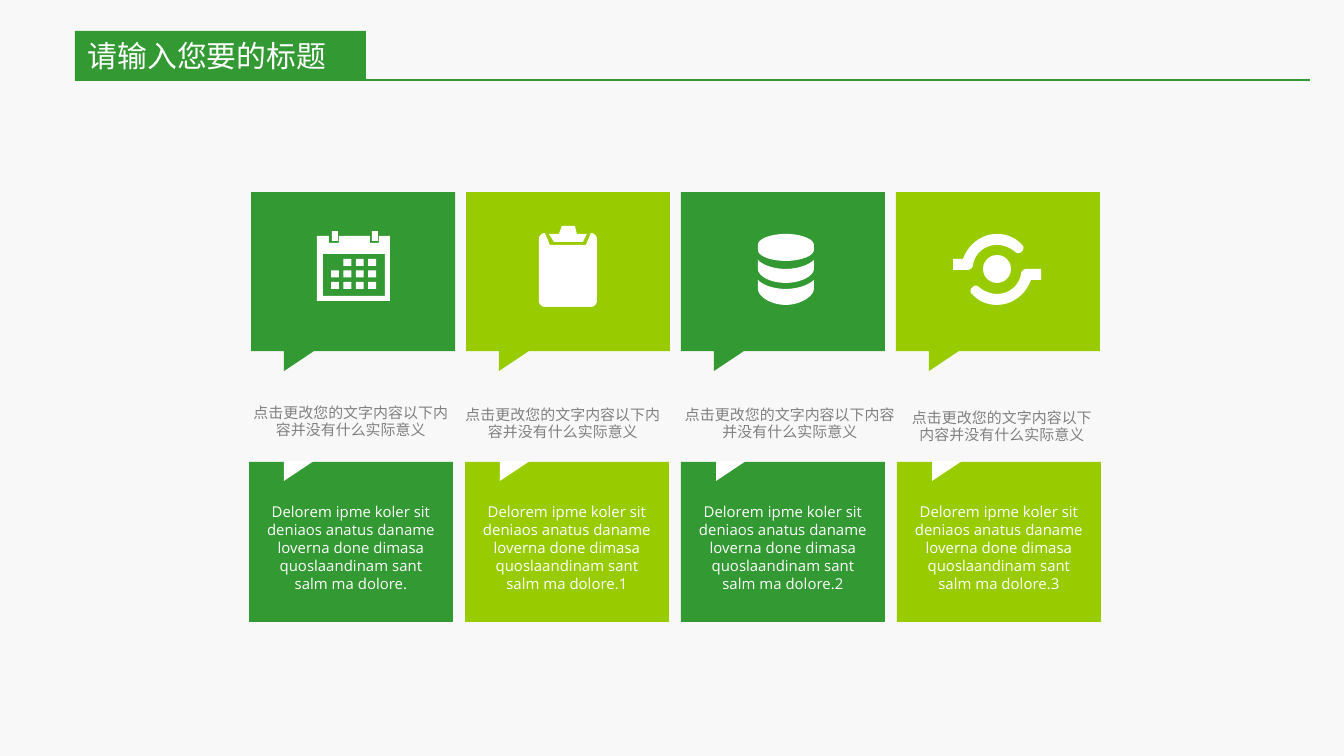
from lxml.etree import SubElement
from pptx import Presentation
from pptx.dml.color import RGBColor as RGB
from pptx.enum.shapes import MSO_CONNECTOR as LINE, MSO_SHAPE as SHAPE
from pptx.enum.text import MSO_ANCHOR as ANCHOR, PP_ALIGN as ALIGN
from pptx.oxml.ns import qn
from pptx.util import Pt

PX = 914400 / 134.4
INK = {"page": "F8F8F8", "green": "339933", "lime": "99CC00",
       "white": "FFFFFF", "gray": "808080"}
CJK, LATIN = "Noto Sans CJK SC", "Open Sans"


def emu(*vals):
    return [round(v * PX) for v in vals]


def flat(curve, steps=10):
    """Turn a list of points and cubic curves (six numbers) into points."""
    pts = []
    for item in curve:
        if len(item) == 2:
            pts.append(item)
            continue
        x, y = pts[-1]
        a, b, c, d, e, f = item
        for n in range(1, steps + 1):
            t = n / steps
            u = 1 - t
            k = (u ** 3, 3 * u * u * t, 3 * u * t * t, t ** 3)
            pts.append((k[0] * x + k[1] * a + k[2] * c + k[3] * e,
                        k[0] * y + k[1] * b + k[2] * d + k[3] * f))
    return pts


class Pen:
    def __init__(self, slide):
        self.slide = slide
        self.shapes = slide.shapes
        fill = slide.background.fill
        fill.solid()
        fill.fore_color.rgb = RGB.from_string(INK["page"])

    def paint(self, shape, ink):
        shape.shadow.inherit = False
        shape.fill.solid()
        shape.fill.fore_color.rgb = RGB.from_string(INK[ink])
        shape.line.fill.background()
        return shape

    def shape(self, box, ink, kind=SHAPE.RECTANGLE):
        return self.paint(self.shapes.add_shape(kind, *emu(*box)), ink)

    def free(self, ink, *curves):
        form = None
        for curve in curves:
            first, *rest = [emu(*p) for p in flat(curve)]
            if form is None:
                form = self.shapes.build_freeform(*first, scale=1.0)
            else:
                form.move_to(*first)
            form.add_line_segments(rest, close=True)
        return self.paint(form.convert_to_shape(), ink)

    def label(self, frame, lines, size, font, ink, align=ALIGN.CENTER,
              anchor=ANCHOR.TOP, pad=(13, 7, 13, 7)):
        frame.word_wrap = True
        frame.vertical_anchor = anchor
        (frame.margin_left, frame.margin_top,
         frame.margin_right, frame.margin_bottom) = emu(*pad)
        for n, line in enumerate(lines):
            para = frame.add_paragraph() if n else frame.paragraphs[0]
            para.alignment = align
            run = para.add_run()
            run.text = line
            run.font.size = Pt(size)
            run.font.name = font
            run.font.color.rgb = RGB.from_string(INK[ink])
            SubElement(run.font._element, qn("a:ea"), typeface=font)

    def text(self, box, lines, *style, **more):
        frame = self.shapes.add_textbox(*emu(*box)).text_frame
        self.label(frame, lines, *style, **more)

    def line(self, ends, ink, width):
        line = self.shapes.add_connector(LINE.STRAIGHT, *emu(*ends))
        line.line.color.rgb = RGB.from_string(INK[ink])
        line.line.width = Pt(width)
        SubElement(line._element.spPr, qn("a:effectLst"))


def dates(pen):
    for row in range(3):
        for col in range(4):
            if (row, col) != (0, 0):
                pen.shape((331 + 12.4 * col, 259 + 11.5 * row, 8, 7), "white")
    pen.free("white",
             [(317, 236), (329, 236), (329, 243), (339, 243), (339, 236),
              (370, 236), (370, 243), (379, 243), (379, 236), (390, 236),
              (390, 301), (317, 301)],
             [(323, 254), (385, 254), (385, 296), (323, 296)])
    for x in (332, 372):
        pen.shape((x, 231, 6, 10), "white")


def board(pen):
    pen.free("white", [
        (591, 233), (586, 245), (550, 245), (545, 233),
        (542, 233, 539, 236, 539, 239), (539, 301),
        (539, 304, 542, 307, 545, 307), (591, 307),
        (594, 307, 597, 304, 597, 301), (597, 239),
        (597, 236, 594, 233, 591, 233)])
    pen.free("white", [(583, 242), (587, 234), (577, 234), (575, 226),
                       (562, 226), (559, 234), (549, 234), (554, 242)])


def disks(pen):
    top = [(786, 234), (770, 234, 758, 239, 758, 245), (758, 250),
           (758, 256, 770, 261, 786, 261), (801, 261, 814, 256, 814, 250),
           (814, 245), (814, 239, 801, 234, 786, 234)]

    def band(y, low):
        return [(814, y), (809, y + 5, 798, y + 9, 786, y + 9),
                (773, y + 9, 763, y + 5, 758, y), (758, y + 9),
                (758, y + 16, 770, low, 786, low),
                (801, low, 814, y + 16, 814, y + 9)]

    pen.free("white", top, band(260, 283), band(280, 305))


def orbit(pen):
    arm = [(1027, 269), (1023, 269, 1021, 272, 1021, 274),
           (1019, 286, 1009, 294, 997, 294), (990, 294, 984, 291, 980, 288),
           (977, 285, 974, 285, 972, 288), (970, 289, 970, 293, 972, 294),
           (978, 301, 987, 305, 997, 305), (1013, 305, 1026, 294, 1031, 280),
           (1041, 280), (1041, 269)]
    # The second arm is the first one turned half round
    turn = [tuple((539 if n % 2 else 1994) - v for n, v in enumerate(p))
            for p in arm]
    pen.free("white", arm, turn)
    pen.shape((983, 255, 28, 28), "white", SHAPE.OVAL)


def main():
    deck = Presentation()
    deck.slide_width, deck.slide_height = emu(1344, 756)
    pen = Pen(deck.slides.add_slide(deck.slide_layouts[6]))
    inks = ("green", "lime") * 2

    # Lower cards with a notch
    for n, ink in enumerate(inks):
        x = 249 + 216 * n
        pen.shape((x, 462, 204, 160), ink)
        pen.free("white", [(x + 35, 461), (x + 35, 481), (x + 65, 461)])
        pen.text((x, 496, 204, 103),
                 ["Delorem ipme koler sit deniaos anatus daname loverna done "
                  "dimasa quoslaandinam sant", f"salm ma dolore.{n or ''}"],
                 8, LATIN, "white")

    # Captions
    for box in ((243, 378, 216, 68), (456, 382, 214, 64),
                (671, 384, 238, 60), (898, 387, 208, 60)):
        pen.text(box, ["点击更改您的文字内容以下内容并没有什么实际意义"],
                 8, CJK, "gray", anchor=ANCHOR.MIDDLE, pad=(9, 23, 9, 5))

    # Speech bubbles with icons
    for n, (ink, icon) in enumerate(zip(inks, (dates, board, disks, orbit))):
        x = 251 + 215 * n
        pen.free(ink, [(x, 192), (x + 204, 192), (x + 204, 351), (x + 63, 351),
                       (x + 33, 371), (x + 33, 351), (x, 351)])
        icon(pen)

    # Title bar
    bar = pen.shape((75, 31, 291, 49), "green")
    pen.label(bar.text_frame, ["请输入您要的标题"], 16, CJK, "white",
              align=ALIGN.LEFT)
    pen.line((1310, 80, 75, 80), "green", 1.5)
    deck.save("out.pptx")


if __name__ == "__main__":
    main()
